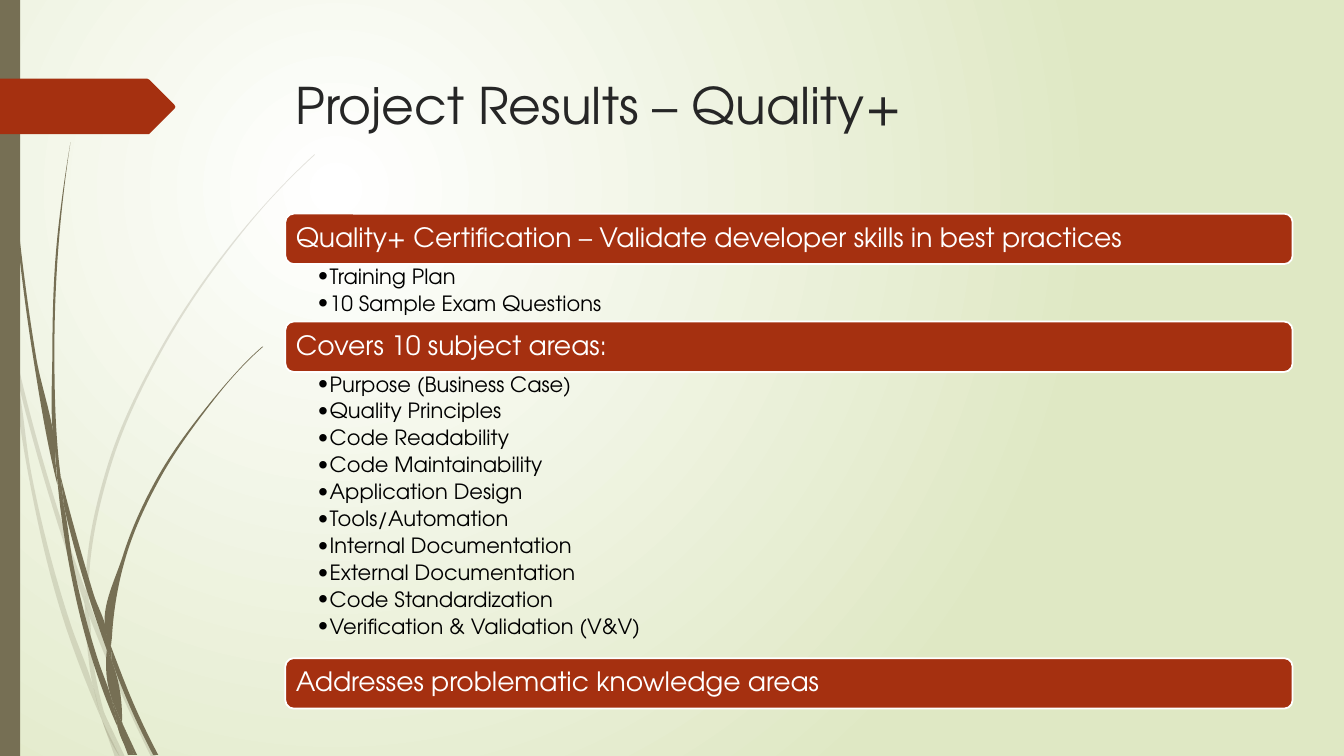
from math import dist

from lxml.etree import SubElement
from pptx import Presentation
from pptx.dml.color import RGBColor
from pptx.enum.shapes import MSO_SHAPE
from pptx.enum.text import MSO_ANCHOR, PP_ALIGN
from pptx.oxml.ns import qn
from pptx.util import Pt

EMU_PER_PX = 9144  # 100 px to the inch
FONT = "TeX Gyre Adventor"
COLORS = {
    "glow": "FFFFFF", "meadow": "DFE8C4", "grass": "766F54", "accent": "A53010",
    "title": "262626", "heading": "FFFFFF", "item": "000000", "border": "FFFFFF",
}

# Each piece of a blade has an edge going out and an edge coming back
FAINT_GRASS = [
    ([(11, 350), (9, 322), (0, 282)], [(0, 299), (10, 344), (11, 350)]),
    ([(17, 376), (58, 522), (84, 599)], [(85, 586), (62, 520), (14, 345)]),
    ([(88, 610), (123, 694), (150, 751)], [(155, 751), (127, 692), (92, 607), (88, 596)]),
    ([(105, 711), (119, 751)], [(124, 751), (105, 711)]),
    ([(11, 350), (28, 470), (65, 621), (92, 693), (101, 714)],
     [(99, 707), (93, 683), (70, 619), (31, 469), (17, 376), (11, 350)]),
    ([(84, 599), (87, 646), (93, 683), (96, 692), (105, 711)],
     [(103, 706), (91, 646), (88, 610), (84, 599)]),
    ([(88, 596), (88, 584), (110, 462), (160, 349), (229, 245), (268, 198), (290, 175), (312, 154)],
     [(312, 153), (289, 175), (268, 197), (228, 244), (158, 348), (107, 461), (85, 584), (85, 586)]),
    ([(101, 714), (114, 751)], [(119, 751), (101, 714)]),
    ([(88, 610), (88, 596)], [(85, 586), (84, 599)]),
    ([(93, 683), (99, 707), (101, 714), (119, 751)], [(105, 711), (96, 692), (93, 683)]),
]
DARK_GRASS = [
    ([(3, 0), (4, 48), (7, 110), (17, 233), (33, 355), (56, 477), (57, 481)],
     [(55, 457), (55, 453), (36, 355), (19, 232), (8, 109), (5, 48), (4, 0)]),
    ([(64, 505), (88, 592), (106, 645)], [(106, 633), (106, 631), (93, 590), (60, 472)]),
    ([(111, 656), (132, 708), (152, 749)], [(157, 749), (136, 706), (113, 649), (110, 641)]),
    ([(57, 477), (68, 557), (93, 659), (111, 708), (117, 722)],
     [(116, 717), (110, 691), (98, 657), (72, 556), (64, 505), (57, 477)]),
    ([(60, 472), (58, 453), (54, 349), (58, 245), (63, 193), (70, 141)],
     [(70, 141), (62, 193), (56, 245), (52, 349), (55, 449), (60, 472)]),
    ([(122, 719), (133, 749)], [(136, 749), (122, 719)]),
    ([(57, 477), (64, 505)], [(60, 472), (55, 449), (55, 453)]),
    ([(111, 633), (125, 552), (158, 476), (205, 406), (231, 374), (245, 359), (261, 344)],
     [(260, 344), (245, 358), (231, 373), (204, 405), (156, 474), (122, 551), (106, 631), (110, 641)]),
    ([(117, 722), (127, 749)], [(131, 749), (117, 722)]),
    ([(106, 645), (110, 691), (116, 706), (122, 719)], [(121, 716), (111, 656), (109, 651), (106, 645)]),
    ([(106, 645), (109, 651), (111, 656)], [(110, 641), (106, 631), (106, 633)]),
    ([(110, 691), (116, 717), (117, 722), (130, 749)], [(133, 749), (122, 719), (116, 706), (110, 691)]),
]
ARROW = [(0, 78), (146, 78), (148, 79), (173, 104), (174, 106),
         (173, 108), (148, 133), (146, 133), (0, 133)]

SECTIONS = [
    ("Quality+ Certification – Validate developer skills in best practices",
     ["Training Plan", "10 Sample Exam Questions"]),
    ("Covers 10 subject areas:",
     ["Purpose (Business Case)", "Quality Principles", "Code Readability",
      "Code Maintainability", "Application Design", "Tools/Automation",
      "Internal Documentation", "External Documentation", "Code Standardization",
      "Verification & Validation (V&V)"]),
    ("Addresses problematic knowledge areas", []),
]
SECTION_LEFT, SECTION_TOP, SECTION_WIDTH = 283, 212, 999
BAR_HEIGHT, ITEM_HEIGHT = 50, 28.4


def px(length):
    return round(length * EMU_PER_PX)


def rgb(role):
    return RGBColor.from_string(COLORS[role])


def apply_format(target, values):
    for name, value in values.items():
        setattr(target, name, value)


def paint(shape, role, opacity=100):
    shape.shadow.inherit = False
    shape.fill.solid()
    shape.fill.fore_color.rgb = rgb(role)
    shape.line.fill.background()
    if opacity < 100:
        color = shape._element.spPr.find(qn("a:solidFill"))[0]
        SubElement(color, qn("a:alpha"), val=str(opacity * 1000))


def mix(a, b, weight_a, weight_b):
    return tuple(weight_a * p + weight_b * q for p, q in zip(a, b))


def curve_points(edge):
    """Two handles and an end for each span of a smooth edge."""
    spans = list(zip(edge, edge[1:]))
    chords = [dist(a, b) for a, b in spans]
    slopes = [mix(a, b, -1 / chord, 1 / chord) for (a, b), chord in zip(spans, chords)]
    inner = [mix(s, t, d / (c + d), c / (c + d))
             for s, t, c, d in zip(slopes, slopes[1:], chords, chords[1:])]
    first, last = (mix(slopes[i], (inner or slopes)[i], 2, -1) for i in (0, -1))
    tangents = [first, *inner, last]
    points = []
    for (a, b), chord, leave, arrive in zip(spans, chords, tangents, tangents[1:]):
        points += [mix(a, leave, 1, chord / 3), mix(b, arrive, 1, -chord / 3), b]
    return points


def add_outline(slide, points):
    start, *rest = [(px(x), px(y)) for x, y in points]
    builder = slide.shapes.build_freeform(*start)
    builder.add_line_segments(rest, close=True)
    return builder.convert_to_shape()


def add_blade(slide, out, back, opacity):
    turn = [out[-1], back[0], back[0]]
    blade = add_outline(slide, [out[0], *curve_points(out), *turn, *curve_points(back)])
    # Group the points by three into cubic curves
    outline = blade._element.find(".//" + qn("a:path"))
    lines = outline.findall(qn("a:lnTo"))
    for index in range(0, len(lines) // 3 * 3, 3):
        curve = SubElement(outline, qn("a:cubicBezTo"))
        lines[index].addprevious(curve)
        for line in lines[index:index + 3]:
            curve.append(line[0])
            outline.remove(line)
    paint(blade, "grass", opacity)


def add_block(slide, preset, box, role):
    block = slide.shapes.add_shape(preset, *map(px, box))
    paint(block, role)
    return block


def write(frame, lines, size, role, insets, anchor=MSO_ANCHOR.TOP, bullets=False, spacing=None):
    left, top, right, bottom = map(px, insets)
    apply_format(frame, {
        "word_wrap": True, "vertical_anchor": anchor, "margin_left": left,
        "margin_top": top, "margin_right": right, "margin_bottom": bottom})
    for index, line in enumerate(lines):
        paragraph = frame.add_paragraph() if index else frame.paragraphs[0]
        paragraph.text = line
        apply_format(paragraph, {"alignment": PP_ALIGN.LEFT, "line_spacing": spacing})
        if bullets:
            apply_format(paragraph, {"level": 1, "space_after": Pt(size * 0.2)})
            properties = paragraph._p.get_or_add_pPr()
            properties.set("marL", str(px(12)))
            properties.set("indent", str(px(-12)))
            SubElement(properties, qn("a:buFont"), typeface=FONT)
            SubElement(properties, qn("a:buChar"), char="•")
        apply_format(paragraph.font, {"name": FONT, "size": Pt(size)})
        paragraph.font.color.rgb = rgb(role)


def add_text(slide, box, *args, **options):
    write(slide.shapes.add_textbox(*map(px, box)).text_frame, *args, **options)


def set_background(slide):
    fill = slide.background.fill
    fill.gradient()
    for stop, role in zip(fill.gradient_stops, ("glow", "meadow")):
        stop.color.rgb = rgb(role)
    gradient = slide._element.find(".//" + qn("a:gradFill"))
    gradient.remove(gradient.find(qn("a:lin")))
    circle = SubElement(gradient, qn("a:path"), path="circle")
    SubElement(circle, qn("a:fillToRect"), l="50000", t="50000", r="100000", b="100000")


def add_section(slide, top, heading, items):
    """Draws a heading bar with its list and returns the bottom of the section."""
    bar = add_block(slide, MSO_SHAPE.ROUNDED_RECTANGLE,
                    (SECTION_LEFT, top, SECTION_WIDTH, BAR_HEIGHT), "accent")
    bar.line.color.rgb = rgb("border")
    bar.line.width = Pt(1.25)
    write(bar.text_frame, [heading], 19, "heading", (8, 8, 8, 8), MSO_ANCHOR.MIDDLE, spacing=0.9)
    list_top = top + BAR_HEIGHT
    list_height = round(ITEM_HEIGHT * len(items))
    if items:
        add_text(slide, (SECTION_LEFT, list_top, SECTION_WIDTH, list_height), items, 15, "item",
                 (32, 2, 15, 2), bullets=True, spacing=0.9)
    return list_top + list_height


def main():
    presentation = Presentation()
    apply_format(presentation, {"slide_width": px(1333), "slide_height": px(750)})
    slide = presentation.slides.add_slide(presentation.slide_layouts[6])

    # Backdrop with grass, side strip and arrow
    set_background(slide)
    for pieces, opacity in ((FAINT_GRASS, 20), (DARK_GRASS, 100)):
        for out, back in pieces:
            add_blade(slide, out, back, opacity)
    add_block(slide, MSO_SHAPE.RECTANGLE, (0, 0, 20, 750), "grass")
    paint(add_outline(slide, ARROW), "accent")

    # Title
    add_text(slide, (283, 69, 975, 140), ["Project Results – Quality+"], 36, "title", (10, 5, 10, 5))

    # Stacked sections
    top = SECTION_TOP
    for heading, items in SECTIONS:
        top = add_section(slide, top, heading, items)

    presentation.save("out.pptx")


if __name__ == "__main__":
    main()
